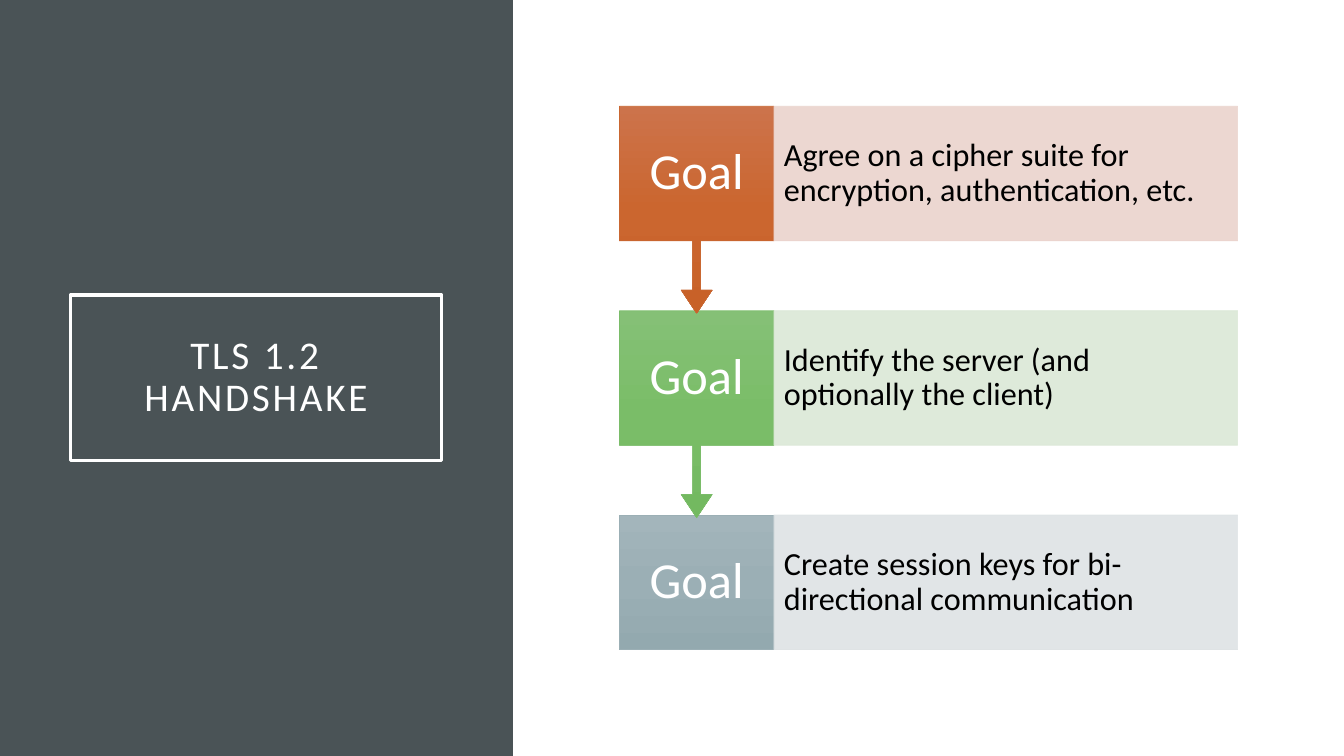
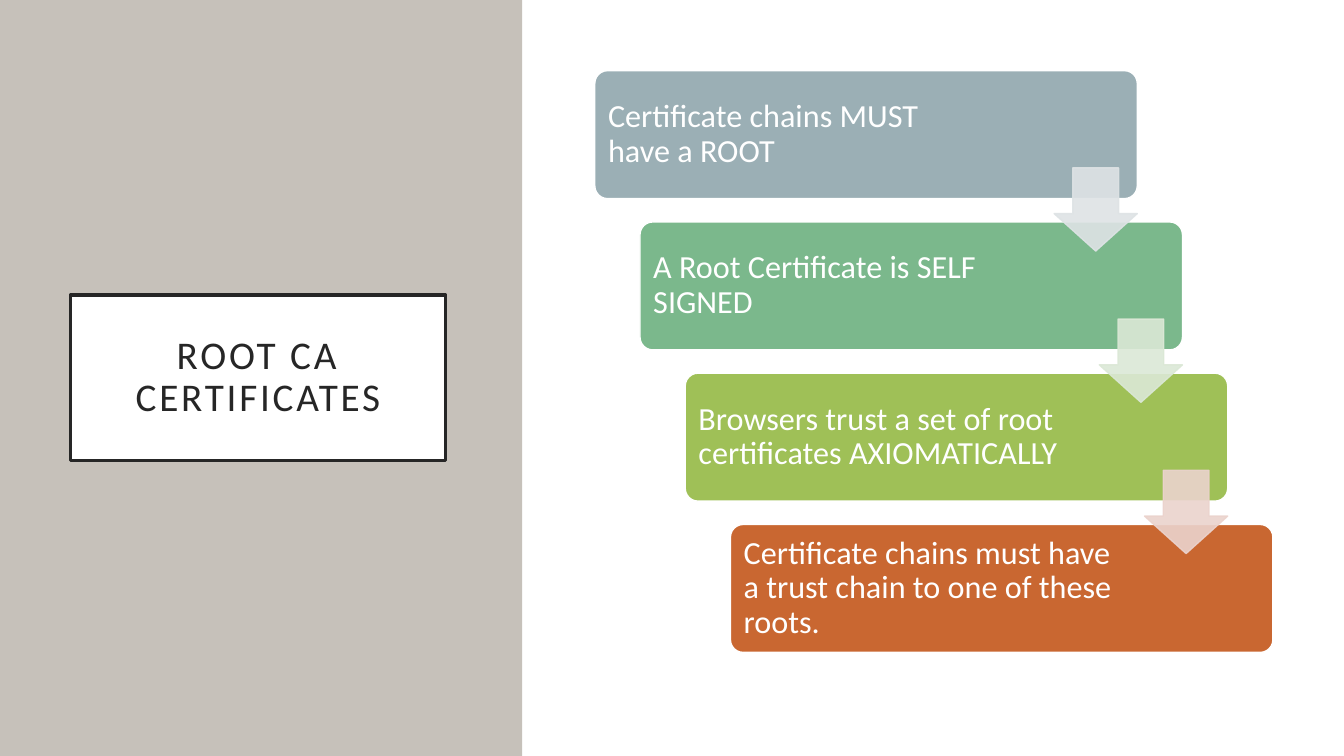
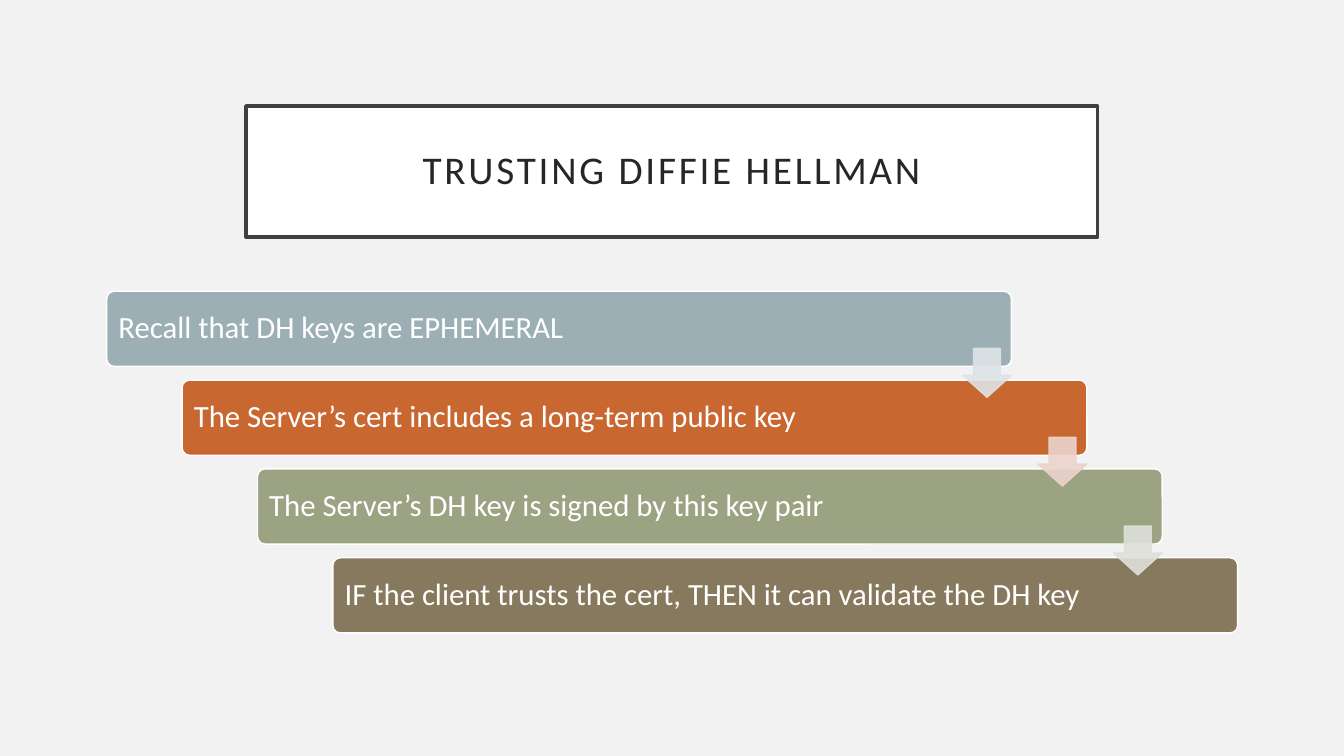
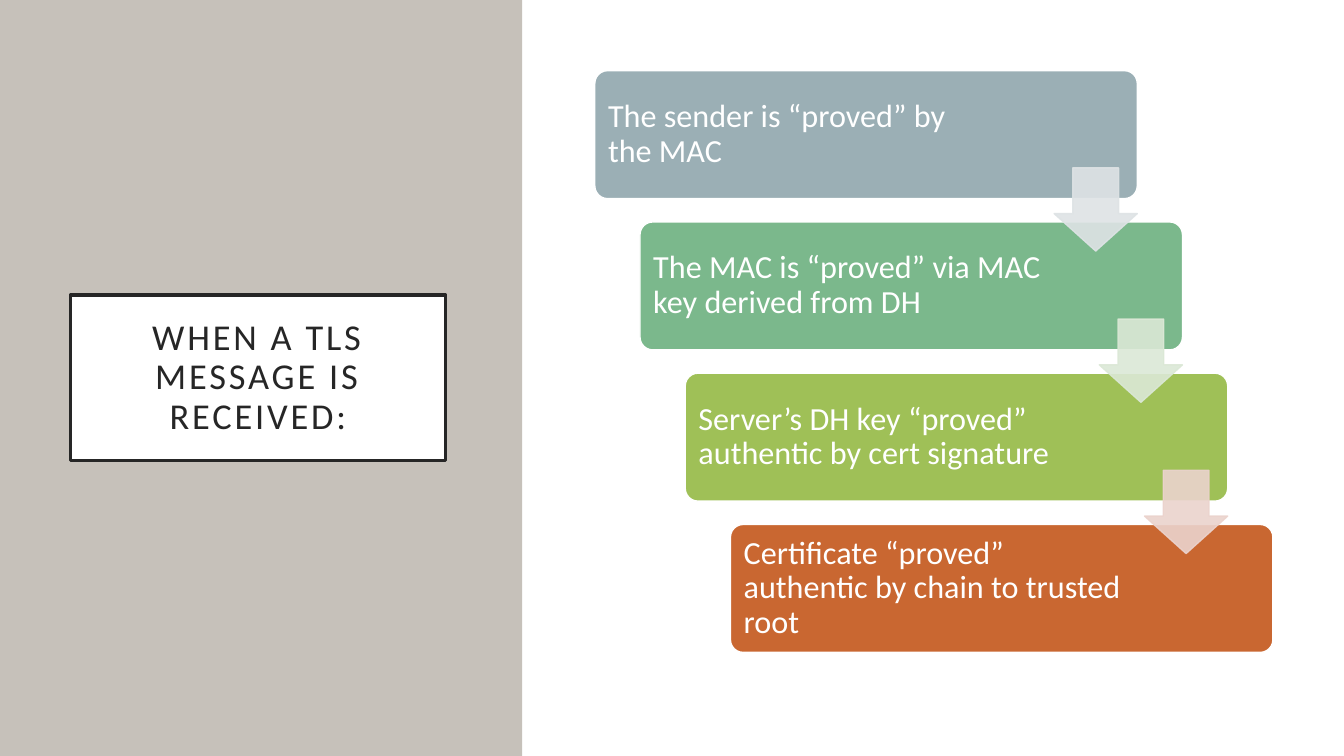
from copy import deepcopy

from lxml.etree import SubElement
from pptx import Presentation
from pptx.dml.color import RGBColor
from pptx.enum.shapes import MSO_SHAPE as Preset
from pptx.enum.text import MSO_ANCHOR as Anchor, PP_ALIGN as Align
from pptx.oxml.ns import qn
from pptx.util import Cm, Pt

SLIDE_WIDTH, SLIDE_HEIGHT = 33.87, 19.05
FONT = "Calibri"

WHITE = RGBColor(0xFF, 0xFF, 0xFF)
BLACK = RGBColor(0x00, 0x00, 0x00)
INK = RGBColor(0x26, 0x26, 0x26)
CHARCOAL = RGBColor(0x40, 0x40, 0x40)
LIGHT_GREY = RGBColor(0xF2, 0xF2, 0xF2)
SLATE = RGBColor(0x4A, 0x53, 0x56)
STONE = RGBColor(0xC6, 0xC1, 0xBA)
STEEL = RGBColor(0x9B, 0xAF, 0xB5)
JADE = RGBColor(0x7B, 0xB8, 0x8C)
LIME = RGBColor(0x9F, 0xC0, 0x57)
RUST = RGBColor(0xC9, 0x67, 0x31)
SAGE = RGBColor(0x9C, 0xA3, 0x83)
UMBER = RGBColor(0x87, 0x79, 0x5D)
GRASS = RGBColor(0x7A, 0xBC, 0x69)
PALE_STEEL = RGBColor(0xDE, 0xE3, 0xE5)
PALE_GREEN = RGBColor(0xDB, 0xE8, 0xD6)
PALE_RUST = RGBColor(0xEB, 0xD3, 0xCD)
PALE_SAGE = RGBColor(0xDE, 0xE0, 0xD9)
RUST_BLEND = (RGBColor(0xCC, 0x73, 0x4B), RGBColor(0xCB, 0x66, 0x2F), RGBColor(0xC8, 0x61, 0x28))
GRASS_BLEND = (RGBColor(0x85, 0xC0, 0x76), RGBColor(0x7A, 0xBD, 0x68), RGBColor(0x73, 0xB9, 0x60))
STEEL_BLEND = (RGBColor(0xA3, 0xB5, 0xBB), STEEL, RGBColor(0x93, 0xA9, 0xAF))

SPLIT_COLOURS = (STEEL, JADE, LIME, RUST)
SPLIT_ARROWS = (PALE_STEEL, PALE_GREEN, PALE_RUST)
SPLIT_CASCADE = (14.99, 1.78, 17.09, 14.66)


def add_block(slide, preset, box, fill=None, line=None, line_width=1, adjustments=()):
    shape = slide.shapes.add_shape(preset, *(Cm(length) for length in box))
    shape.shadow.inherit = False
    for index, value in enumerate(adjustments):
        shape.adjustments[index] = value
    if fill is None:
        shape.fill.background()
    else:
        shape.fill.solid()
        shape.fill.fore_color.rgb = fill
    if line is None:
        shape.line.fill.background()
    else:
        shape.line.color.rgb = line
        shape.line.width = Pt(line_width)
    return shape


def make_translucent(shape, percent=90):
    for colour in list(shape._element.spPr.iter(qn("a:srgbClr"))):
        SubElement(colour, qn("a:alpha")).set("val", str(percent * 1000))


def blend_down(shape, colours):
    shape.fill.gradient()
    shape.fill.gradient_angle = 270
    stop_list = next(shape._element.spPr.iter(qn("a:gsLst")))
    middle = deepcopy(stop_list[0])
    stop_list.insert(1, middle)
    for stop, position, colour in zip(shape.fill.gradient_stops, (0, 0.5, 1), colours):
        stop.position = position
        stop.color.rgb = colour


def write_text(shape, text, size, colour, align=Align.LEFT, margins=(0.25, 0.25, 0.25, 0.25), spacing=0):
    frame = shape.text_frame
    left, top, right, bottom = (Cm(margin) for margin in margins)
    settings = {
        "word_wrap": True,
        "vertical_anchor": Anchor.MIDDLE,
        "margin_left": left,
        "margin_top": top,
        "margin_right": right,
        "margin_bottom": bottom,
    }
    for name, value in settings.items():
        setattr(frame, name, value)
    paragraph = frame.paragraphs[0]
    paragraph.alignment = align
    paragraph.line_spacing = 0.9
    run = paragraph.add_run()
    run.text = text
    for name, value in {"name": FONT, "size": Pt(size)}.items():
        setattr(run.font, name, value)
    run.font.color.rgb = colour
    if spacing:
        run._r.get_or_add_rPr().set("spc", str(spacing * 100))


def add_slide(presentation, background=WHITE):
    slide = presentation.slides.add_slide(presentation.slide_layouts[6])
    slide.background.fill.solid()
    slide.background.fill.fore_color.rgb = background
    return slide


def add_title(slide, box, text, fill=WHITE, line=INK, colour=INK, size=28):
    frame = add_block(slide, Preset.RECTANGLE, box, fill, line, 2.5)
    write_text(frame, text, size, colour, Align.CENTER, (0.51,) * 4, spacing=2)


def add_side_panel(slide, width, colour):
    add_block(slide, Preset.RECTANGLE, (0, 0, width, SLIDE_HEIGHT), colour)


def add_goals(slide, box, goals):
    left, top, width, height = box
    row_height, pitch = 3.39, (height - 3.39) / (len(goals) - 1)
    label_width = width / 4
    for index in reversed(range(len(goals))):
        text, blend, line, pale = goals[index]
        row_top = top + index * pitch
        if index == len(goals) - 1:
            label = add_block(slide, Preset.RECTANGLE, (left, row_top, label_width, row_height),
                              line, line, 0.5)
        else:
            label = add_block(slide, Preset.DOWN_ARROW_CALLOUT,
                              (left, row_top, label_width, row_height / 0.65),
                              line, line, 0.5, (0.05, 0.1, 0.15, 0.65))
        blend_down(label, blend)
        write_text(label, "Goal", 36, WHITE, Align.CENTER)
        detail = add_block(slide, Preset.RECTANGLE,
                           (left + label_width, row_top, width - label_width, row_height),
                           pale, pale, 0.5)
        make_translucent(detail)
        write_text(detail, text, 23, BLACK)


def add_cascade(slide, box, texts, colours, arrow_colours, size):
    left, top, width, height = box
    step_width, step_height = 0.8 * width, 0.22 * height
    shift, pitch = 0.2 * width / (len(texts) - 1), 0.26 * height
    for index, (text, colour) in enumerate(zip(texts, colours)):
        step = add_block(slide, Preset.ROUNDED_RECTANGLE,
                         (left + index * shift, top + index * pitch, step_width, step_height),
                         colour, WHITE, 1, (0.1,))
        right_margin = 3.45 if index else 3.8
        write_text(step, text, size, WHITE, margins=(0.24, 0.2, right_margin, 0.2))
    arrow_size = 0.65 * step_height
    for index, colour in enumerate(arrow_colours):
        arrow = add_block(slide, Preset.DOWN_ARROW,
                          (left + index * shift + step_width - arrow_size,
                           top + index * pitch + 0.76 * step_height, arrow_size, arrow_size),
                          colour, colour, 1, (0.55, 0.45))
        make_translucent(arrow)


def build_goal_slide(presentation):
    slide = add_slide(presentation)
    add_side_panel(slide, 12.93, SLATE)
    add_title(slide, (1.78, 7.44, 9.35, 4.17), "TLS 1.2 HANDSHAKE", None, WHITE, WHITE)
    add_goals(slide, (15.61, 2.68, 15.58, 13.69), (
        ("Agree on a cipher suite for encryption, authentication, etc.", RUST_BLEND, RUST, PALE_RUST),
        ("Identify the server (and optionally the client)", GRASS_BLEND, GRASS, PALE_GREEN),
        ("Create session keys for bi-directional communication", STEEL_BLEND, STEEL, PALE_STEEL),
    ))


def build_split_slide(presentation, title, texts, title_size=28):
    slide = add_slide(presentation)
    add_side_panel(slide, 13.16, STONE)
    add_title(slide, (1.78, 7.44, 9.45, 4.17), title, size=title_size)
    add_cascade(slide, SPLIT_CASCADE, texts, SPLIT_COLOURS, SPLIT_ARROWS, 23)


def build_wide_slide(presentation, title, texts):
    slide = add_slide(presentation, LIGHT_GREY)
    add_title(slide, (6.2, 2.67, 21.46, 3.3), title, line=CHARCOAL)
    add_cascade(slide, (2.69, 7.34, 28.5, 8.61), texts, (STEEL, RUST, SAGE, UMBER),
                (PALE_STEEL, PALE_RUST, PALE_SAGE), 22)


def main():
    presentation = Presentation()
    presentation.slide_width = Cm(SLIDE_WIDTH)
    presentation.slide_height = Cm(SLIDE_HEIGHT)
    build_goal_slide(presentation)
    build_split_slide(presentation, "ROOT CA CERTIFICATES", (
        "Certificate chains MUST have a ROOT",
        "A Root Certificate is SELF SIGNED",
        "Browsers trust a set of root certificates AXIOMATICALLY",
        "Certificate chains must have a trust chain to one of these roots.",
    ))
    build_wide_slide(presentation, "TRUSTING DIFFIE HELLMAN", (
        "Recall that DH keys are EPHEMERAL",
        "The Server’s cert includes a long-term public key",
        "The Server’s DH key is signed by this key pair",
        "IF the client trusts the cert, THEN it can validate the DH key",
    ))
    build_split_slide(presentation, "WHEN A TLS MESSAGE IS RECEIVED:", (
        "The sender is “proved” by the MAC",
        "The MAC is “proved” via MAC key derived from DH",
        "Server’s DH key “proved” authentic by cert signature",
        "Certificate “proved” authentic by chain to trusted root",
    ), 26)
    presentation.save("out.pptx")


if __name__ == "__main__":
    main()
